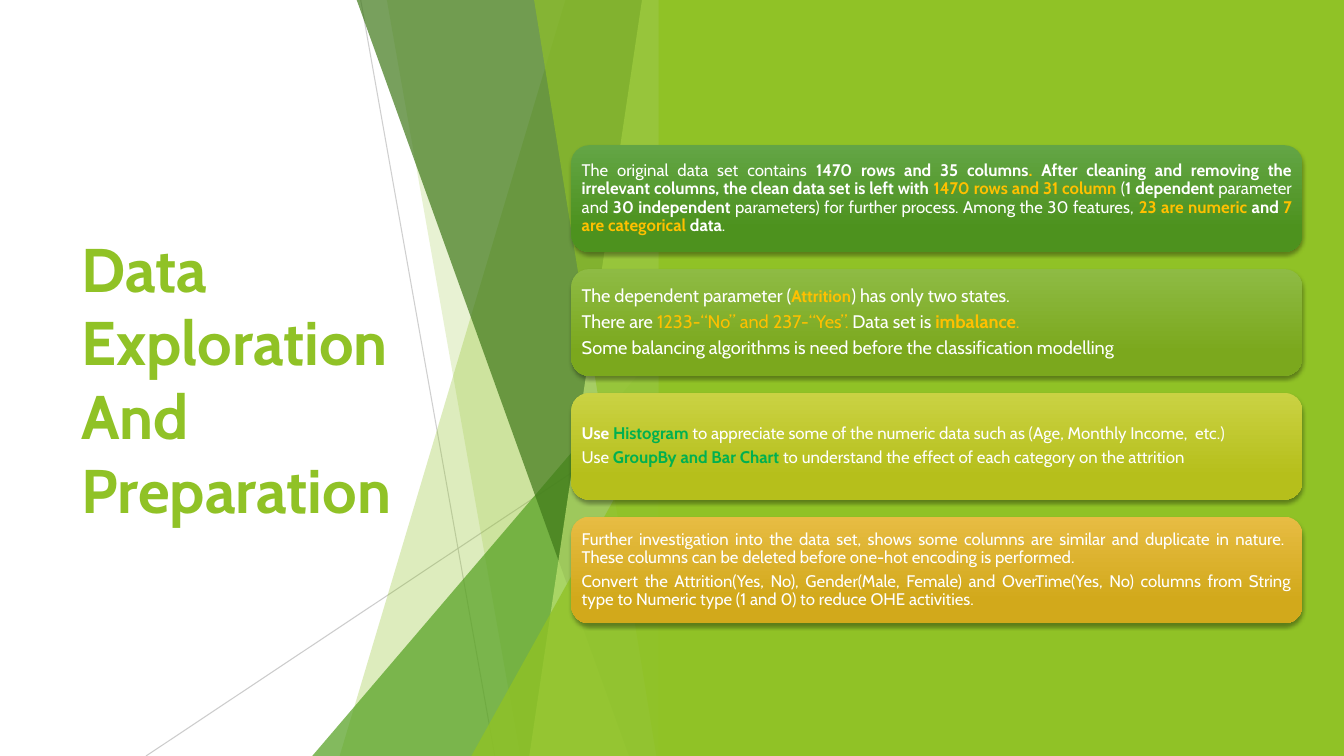
from lxml import etree
from pptx import Presentation
from pptx.dml.color import RGBColor
from pptx.enum.shapes import MSO_CONNECTOR, MSO_SHAPE
from pptx.enum.text import MSO_ANCHOR, MSO_AUTO_SIZE, PP_ALIGN
from pptx.oxml.ns import qn
from pptx.util import Cm, Pt

STRAIGHT = MSO_CONNECTOR.STRAIGHT
RECT, ROUND = MSO_SHAPE.RECTANGLE, MSO_SHAPE.ROUNDED_RECTANGLE
TRIANGLE = MSO_SHAPE.ISOSCELES_TRIANGLE
MIDDLE, NO_FIT = MSO_ANCHOR.MIDDLE, MSO_AUTO_SIZE.NONE
LEFT, JUSTIFY = PP_ALIGN.LEFT, PP_ALIGN.JUSTIFY

FONT = "Cabin"
COLORS = {
    "lime": "90C226", "leaf": "54A021", "forest": "3F7819", "pale": "C0E474",
    "grey": "BFBFBF", "white": "FFFFFF", "gold": "FFC000", "green": "00B050",
    "black": "000000",
}
TITLE = "Data Exploration And Preparation"

# style: colour, bold, point size (None takes the size of the card)
STYLES = {
    "plain": ("white", False, None), "bold": ("white", True, None),
    "gold": ("gold", False, None), "key": ("gold", True, None),
    "small": ("gold", True, 12), "green": ("green", True, None),
}
# top colour, bottom colour, point size, paragraphs of (style, text)
CARDS = [
    ("63A545", "4D921E", 12, [
        [("plain", "The original data set contains "),
         ("bold", "1470 rows and 35 columns"), ("key", ". "),
         ("bold", "After cleaning and removing the irrelevant columns, "
                  "the clean data set is left with "),
         ("key", "1470 rows and 31 column "), ("plain", "("),
         ("bold", "1 dependent "), ("plain", "parameter and "),
         ("bold", "30 independent "),
         ("plain", "parameters) for further process. Among the 30 features, "),
         ("key", "23 are numeric "), ("bold", "and"),
         ("key", " 7 are categorical "), ("bold", "data"), ("plain", ".")],
    ]),
    ("8EBB44", "7BA81D", 13, [
        [("plain", "The dependent parameter ("), ("small", "Attrition"),
         ("plain", ") has only two states. ")],
        [("plain", "There are "), ("gold", "1233-“No” and 237-“Yes”. "),
         ("plain", "Data set is "), ("key", "imbalance"), ("gold", ". ")],
        [("plain", "Some balancing algorithms is need before the "
                   "classification modelling")],
    ]),
    ("CAD243", "B6BF1B", 12, [
        [("bold", "Use "), ("green", "Histogram "),
         ("plain", "to appreciate some of the numeric data such as "
                   "(Age, Monthly Income,  etc.)")],
        [("plain", "Use "), ("green", "GroupBy and Bar Chart "),
         ("plain", "to understand the effect of each category on the attrition ")],
    ]),
    ("E7BC43", "D2A91B", 12, [
        [("plain", "Further investigation into the data set, shows some columns "
                   "are similar and duplicate in nature.  These columns can be "
                   "deleted before one-hot encoding is performed. ")],
        [("plain", "Convert the Attrition(Yes, No), Gender(Male, Female) and "
                   "OverTime(Yes, No) columns from String type to Numeric type "
                   "(1 and 0) to reduce OHE activities.")],
    ]),
]

# Lengths in cm
WIDE, HIGH = 33.87, 19.05
EDGE = 16.92  # right side shared by all facets
PANEL = 16.6
CARD_X, CARD_Y, CARD_W, CARD_H, STEP = 14.4, 3.66, 18.42, 2.69, 3.12
PAD = 0.13
RAYS = [((9.09, 0), (12.47, HIGH), 75), ((EDGE, 10.24), (3.68, HIGH), 80)]
# Bands: x at top, x at bottom. Wedges: left x, top y.
FACETS = [
    ("band", 14.25, 8.56, "lime", 30),
    ("band", 9.75, 13.11, "lime", 20),
    ("wedge", 7.87, 8.46, "leaf", 72),
    ("band", 8.99, 15.85, "forest", 70),
    ("band", 16.18, 13.34, "pale", 70),
    ("band", 13.46, 16.54, "lime", 65),
    ("wedge", 11.88, 9.98, "lime", 80),
]


def rgb(name):
    return RGBColor.from_string(COLORS.get(name, name))


def fade(node, alpha):
    """Set the opacity, in percent, of each colour below node."""
    for color in list(node.iter(qn("a:srgbClr"))):
        etree.SubElement(color, qn("a:alpha"), val=str(alpha * 1000))


def paint(shape, color, alpha=100):
    shape.shadow.inherit = False
    shape.fill.solid()
    shape.fill.fore_color.rgb = rgb(color)
    shape.line.fill.background()
    if alpha < 100:
        fade(shape._element.spPr, alpha)


def draw_ray(shapes, start, end, alpha):
    ray = shapes.add_connector(STRAIGHT, *map(Cm, start + end))
    ray.line.width = Pt(0.75)
    ray.line.color.rgb = rgb("grey")
    fade(ray._element.spPr, alpha)
    etree.SubElement(ray._element.spPr, qn("a:effectLst"))


def draw_facet(shapes, kind, first, second, color, alpha):
    if kind == "band":
        pen = shapes.build_freeform(Cm(first), 0)
        ends = [(EDGE, 0), (EDGE, HIGH), (second, HIGH)]
        pen.add_line_segments([(Cm(x), Cm(y)) for x, y in ends], close=True)
        facet = pen.convert_to_shape()
    else:
        facet = shapes.add_shape(TRIANGLE, Cm(first), Cm(second),
                                 Cm(EDGE - first), Cm(HIGH - second))
        facet.adjustments[0] = 1
    paint(facet, color, alpha)


def add_shadow(shape):
    shape.shadow.inherit = False
    effects = shape._element.spPr.find(qn("a:effectLst"))
    outer = etree.SubElement(effects, qn("a:outerShdw"), blurRad=str(Pt(3)),
                             dist=str(Pt(2)), dir="5400000", rotWithShape="0")
    etree.SubElement(outer, qn("a:srgbClr"), val=COLORS["black"])
    fade(outer, 35)


def write(frame, lines, size):
    frame.word_wrap = True
    frame.vertical_anchor = MIDDLE
    frame.margin_left = frame.margin_right = Cm(PAD)
    frame.margin_top = frame.margin_bottom = Cm(PAD)
    for i, parts in enumerate(lines):
        para = frame.add_paragraph() if i else frame.paragraphs[0]
        para.alignment = JUSTIFY
        para.line_spacing = 0.9
        para.space_after = Pt(size * 0.35)
        for style, text in parts:
            color, bold, own = STYLES[style]
            run = para.add_run()
            run.text = text
            run.font.name, run.font.bold = FONT, bold
            run.font.size = Pt(own or size)
            run.font.color.rgb = rgb(color)


def draw_card(shapes, row, top, bottom, size, lines):
    card = shapes.add_shape(ROUND, Cm(CARD_X), Cm(CARD_Y + row * STEP),
                            Cm(CARD_W), Cm(CARD_H))
    card.line.fill.background()
    card.fill.gradient()
    card.fill.gradient_angle = 270
    for stop, color, place in zip(card.fill.gradient_stops, (top, bottom), (0, 0.78)):
        stop.color.rgb = rgb(color)
        stop.position = place
    add_shadow(card)
    write(card.text_frame, lines, size)


def set_title(title):
    title.left, title.top = Cm(1.8), Cm(3.84)
    title.width, title.height = Cm(9.42), Cm(11.38)
    frame = title.text_frame
    frame.text = TITLE
    frame.word_wrap, frame.auto_size = True, NO_FIT
    frame.vertical_anchor = MIDDLE
    para = frame.paragraphs[0]
    para.alignment, para.space_after = LEFT, Pt(6)
    font = para.runs[0].font
    font.name, font.size, font.bold = FONT, Pt(44), True
    font.color.rgb = rgb("lime")


def main():
    deck = Presentation()
    deck.slide_width, deck.slide_height = Cm(WIDE), Cm(HIGH)
    shapes = deck.slides.add_slide(deck.slide_layouts[5]).shapes
    set_title(shapes.title)
    for ray in RAYS:
        draw_ray(shapes, *ray)
    for facet in FACETS:
        draw_facet(shapes, *facet)
    panel = shapes.add_shape(RECT, Cm(PANEL), 0, Cm(WIDE - PANEL), Cm(HIGH))
    paint(panel, "lime")
    for row, card in enumerate(CARDS):
        draw_card(shapes, row, *card)
    deck.save("out.pptx")


if __name__ == "__main__":
    main()
